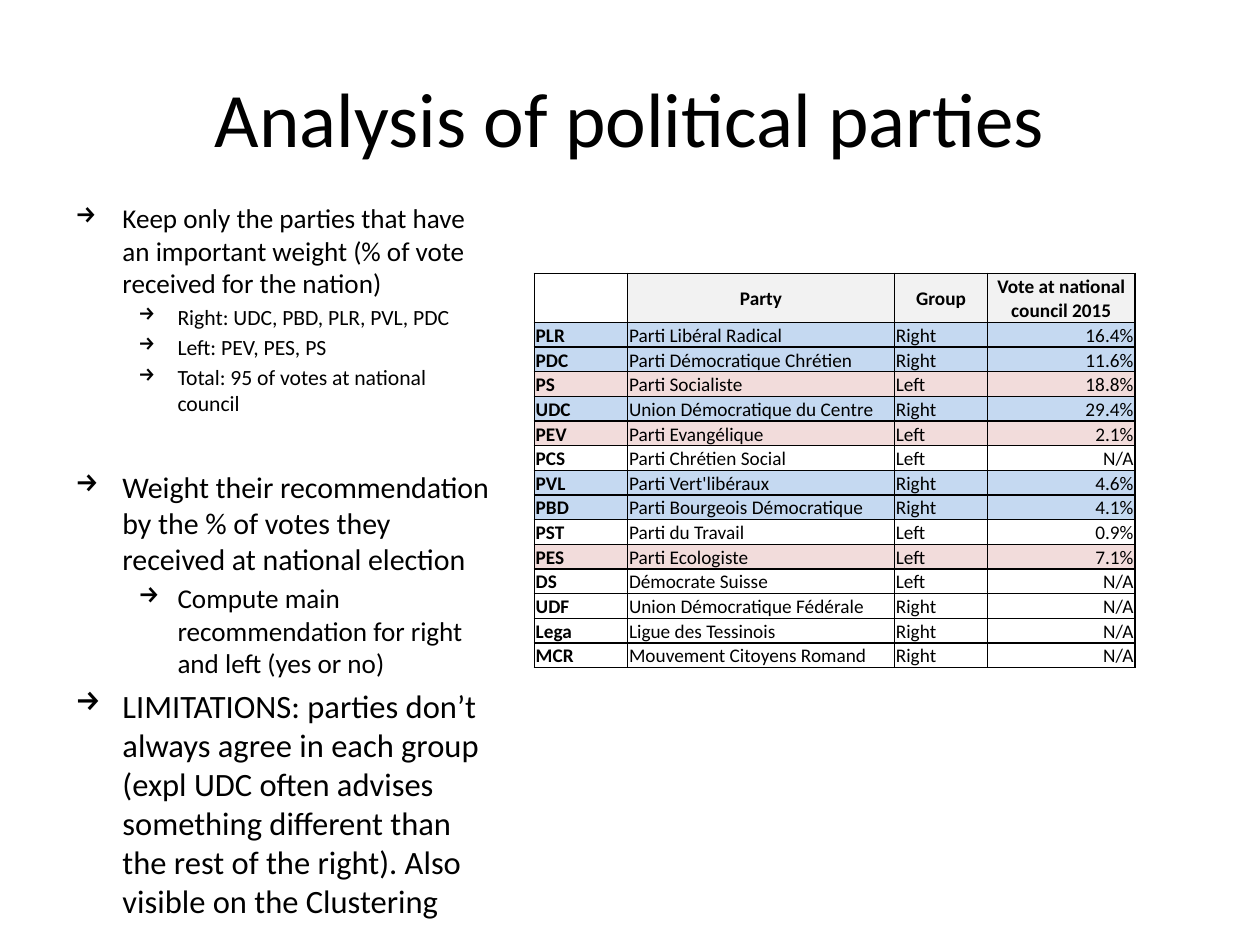
from dataclasses import dataclass

from lxml.etree import SubElement
from pptx import Presentation
from pptx.dml.color import RGBColor
from pptx.enum.text import MSO_ANCHOR, PP_ALIGN
from pptx.oxml.ns import qn
from pptx.util import Cm, Pt

HUES = {"ink": "000000", "head": "F2F2F2", "Right": "C5D9F1", "Left": "F2DCDB"}
FONT = "Calibri"
MINOR = {"PCS", "PST", "DS", "UDF", "Lega", "MCR"}
HEADS = ["", "Party", "Group", "Vote at national council 2015"]
WIDTHS = [1.88, 5.38, 1.88, 2.97]
ALIGNS = [PP_ALIGN.LEFT, PP_ALIGN.LEFT, PP_ALIGN.LEFT, PP_ALIGN.RIGHT]
HEAD_H, ROW_H = 0.99, 0.48
INDENTS = [(0.95, 0.95), (2.06, 0.79)]


@dataclass
class Point:
    text: str
    size: float
    level: int = 0
    gap: float = 0


@dataclass
class Party:
    code: str
    name: str
    group: str
    vote: str = "N/A"


POINTS = [
    Point("Keep only the parties that have an important weight (% of vote received for the nation)", 15.5),
    Point("Right: UDC, PBD, PLR, PVL, PDC", 12.4, 1),
    Point("Left: PEV, PES, PS", 12.4, 1),
    Point("Total: 95 of votes at national council", 12.4, 1),
    Point("Weight their recommendation by the % of votes they received at national election", 17.1, gap=26.5),
    Point("Compute main recommendation for right and left (yes or no)", 15.5, 1),
    Point("LIMITATIONS: parties don’t always agree in each group (expl UDC often advises "
          "something different than the rest of the right). Also visible on the Clustering", 18.6),
]

PARTIES = [
    Party("PLR", "Parti Libéral Radical", "Right", "16.4%"),
    Party("PDC", "Parti Démocratique Chrétien", "Right", "11.6%"),
    Party("PS", "Parti Socialiste", "Left", "18.8%"),
    Party("UDC", "Union Démocratique du Centre", "Right", "29.4%"),
    Party("PEV", "Parti Evangélique", "Left", "2.1%"),
    Party("PCS", "Parti Chrétien Social", "Left"),
    Party("PVL", "Parti Vert'libéraux", "Right", "4.6%"),
    Party("PBD", "Parti Bourgeois Démocratique", "Right", "4.1%"),
    Party("PST", "Parti du Travail", "Left", "0.9%"),
    Party("PES", "Parti Ecologiste", "Left", "7.1%"),
    Party("DS", "Démocrate Suisse", "Left"),
    Party("UDF", "Union Démocratique Fédérale", "Right"),
    Party("Lega", "Ligue des Tessinois", "Right"),
    Party("MCR", "Mouvement Citoyens Romand", "Right"),
]


def write(para, text: str, *, size: float, bold: bool = False,
          align=PP_ALIGN.LEFT, before: float = 0) -> None:
    para.alignment = align
    para.space_before = Pt(before)
    run = para.add_run()
    run.text = text
    font = run.font
    font.name, font.size, font.bold = FONT, Pt(size), bold
    font.color.rgb = RGBColor.from_string(HUES["ink"])


def add_box(slide, left: float, top: float, width: float, height: float, anchor):
    frame = slide.shapes.add_textbox(Cm(left), Cm(top), Cm(width), Cm(height)).text_frame
    frame.word_wrap = True
    frame.vertical_anchor = anchor
    return frame


def add_arrow(para, level: int) -> None:
    para.level = level
    left, hang = INDENTS[level]
    props = para._p.get_or_add_pPr()
    props.set("marL", str(Cm(left)))
    props.set("indent", str(-Cm(hang)))
    SubElement(props, qn("a:buChar")).set("char", "→")


def add_points(frame, points: list[Point]) -> None:
    for num, point in enumerate(points):
        para = frame.add_paragraph() if num else frame.paragraphs[0]
        write(para, point.text, size=point.size, before=0.2 * point.size + point.gap)
        add_arrow(para, point.level)


def add_border(cell) -> None:
    props = cell._tc.get_or_add_tcPr()
    for side in ("lnL", "lnR", "lnT", "lnB"):
        line = SubElement(props, qn(f"a:{side}"), w=str(Pt(1)))
        fill = SubElement(line, qn("a:solidFill"))
        SubElement(fill, qn("a:srgbClr"), val=HUES["ink"])


def fill_cell(cell, text: str, hue: str | None, anchor, bold: bool, align) -> None:
    cell.margin_left = cell.margin_top = cell.margin_right = Cm(0.03)
    cell.margin_bottom = 0
    cell.vertical_anchor = anchor
    add_border(cell)
    if hue:
        cell.fill.solid()
        cell.fill.fore_color.rgb = RGBColor.from_string(HUES[hue])
    else:
        cell.fill.background()
    write(cell.text_frame.paragraphs[0], text, size=11, bold=bold, align=align)


def add_grid(slide, left: float, top: float, parties: list[Party]) -> None:
    height = HEAD_H + ROW_H * len(parties)
    grid = slide.shapes.add_table(len(parties) + 1, len(HEADS), Cm(left), Cm(top),
                                  Cm(sum(WIDTHS)), Cm(height)).table
    grid.first_row = grid.horz_banding = False
    for col, width in zip(grid.columns, WIDTHS):
        col.width = Cm(width)
    for num, row in enumerate(grid.rows):
        row.height = Cm(ROW_H if num else HEAD_H)
    for col, head in enumerate(HEADS):
        fill_cell(grid.cell(0, col), head, "head" if head else None,
                  MSO_ANCHOR.MIDDLE, True, PP_ALIGN.CENTER)
    for num, party in enumerate(parties, 1):
        hue = None if party.code in MINOR else party.group
        texts = (party.code, party.name, party.group, party.vote)
        for col, text in enumerate(texts):
            fill_cell(grid.cell(num, col), text, hue, MSO_ANCHOR.BOTTOM, col == 0, ALIGNS[col])


def main() -> None:
    deck = Presentation()
    deck.slide_width, deck.slide_height = Cm(25.4), Cm(19.05)
    slide = deck.slides.add_slide(deck.slide_layouts[6])
    title = add_box(slide, 1.27, 0.76, 22.86, 3.18, MSO_ANCHOR.MIDDLE)
    write(title.paragraphs[0], "Analysis of political parties", size=44, align=PP_ALIGN.CENTER)
    add_points(add_box(slide, 1.27, 3.94, 8.86, 13.69, MSO_ANCHOR.TOP), POINTS)
    add_grid(slide, 10.77, 5.51, PARTIES)
    deck.save("out.pptx")


if __name__ == "__main__":
    main()
